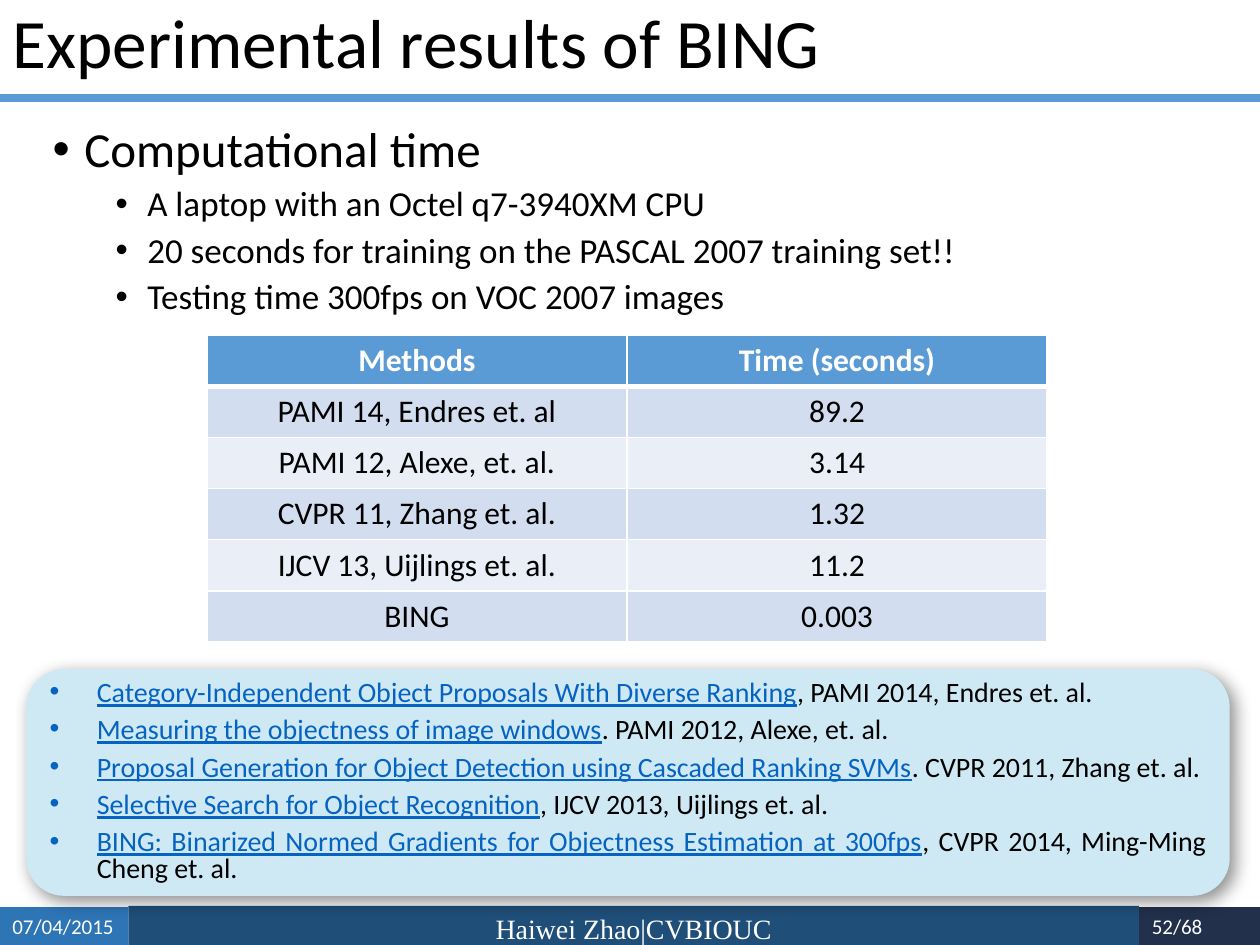
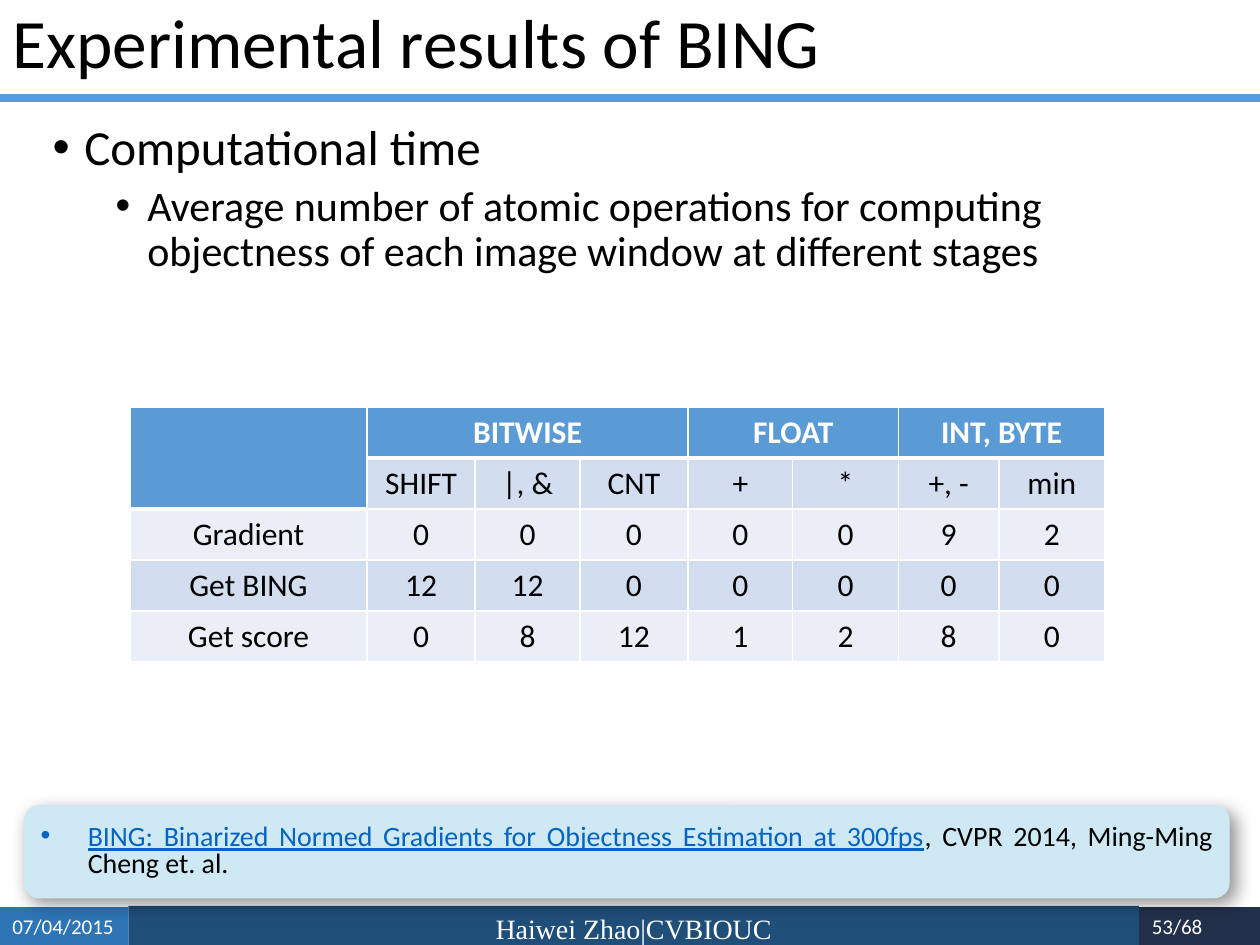
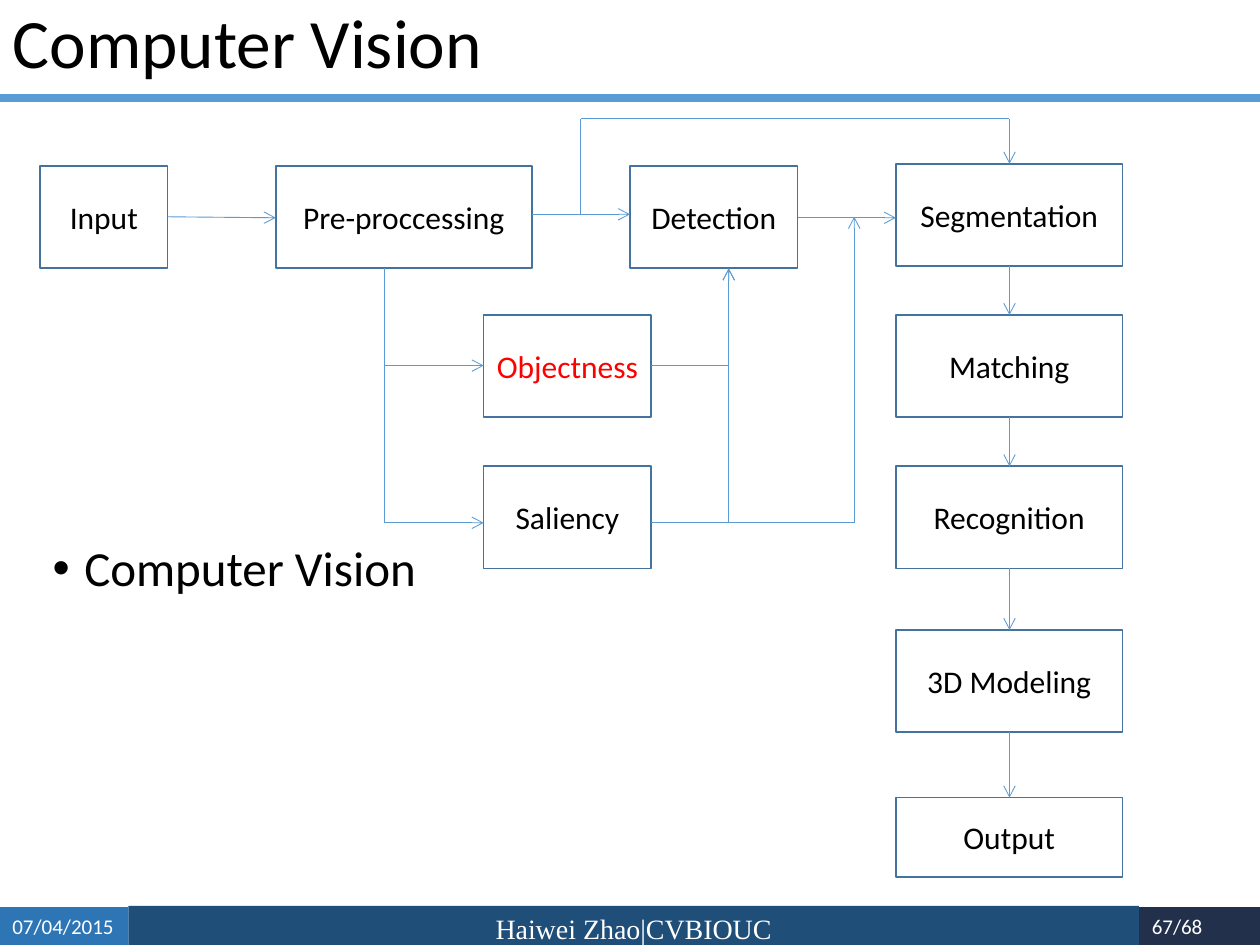
import itertools

import lxml.etree
import pptx
import pptx.dml.color
import pptx.enum.shapes
import pptx.enum.text
import pptx.oxml.ns
import pptx.util

RGBColor = pptx.dml.color.RGBColor
Cm = pptx.util.Cm
Pt = pptx.util.Pt
ALIGN = pptx.enum.text.PP_ALIGN
ANCHOR = pptx.enum.text.MSO_ANCHOR
SHAPE = pptx.enum.shapes.MSO_SHAPE

BLACK = RGBColor(0x00, 0x00, 0x00)
WHITE = RGBColor(0xFF, 0xFF, 0xFF)
RED = RGBColor(0xFF, 0x00, 0x00)
BLUE = RGBColor(0x5B, 0x9B, 0xD5)
BOX_EDGE = RGBColor(0x43, 0x73, 0x9E)
DATE_BLUE = RGBColor(0x2E, 0x75, 0xB6)
AUTHOR_BLUE = RGBColor(0x1F, 0x4E, 0x79)
PAGE_NAVY = RGBColor(0x22, 0x30, 0x4B)
PANEL_BLUE = RGBColor(0xCF, 0xE9, 0xF4)
LINK_BLUE = RGBColor(0x05, 0x63, 0xC1)
BAND_DARK = RGBColor(0xD2, 0xDE, 0xEF)
BAND_LIGHT = RGBColor(0xEA, 0xEF, 0xF7)

TITLE_ONLY = 5
TITLE_FONT = {"name": "Calibri", "size": Pt(39.6)}
FOOTER_FONT = {"name": "Calibri", "size": Pt(12)}
AUTHOR_FONT = {"name": "Times New Roman", "size": Pt(16)}
CELL_FONT = {"name": "Calibri", "size": Pt(18)}
REFERENCE_FONT = {"name": "Calibri", "size": Pt(16)}

TOPIC_FORMAT = {"line_spacing": 0.9, "space_before": Pt(10)}
DETAIL_FORMAT = {"level": 1, "line_spacing": 0.9, "space_before": Pt(5)}
REFERENCE_FORMAT = {
    "alignment": ALIGN.JUSTIFY,
    "line_spacing": 0.8,
    "space_before": Pt(3),
    "space_after": Pt(3),
}
BING_REFERENCE = (
    "BING: Binarized Normed Gradients for Objectness Estimation at 300fps",
    ", CVPR 2014, Ming-Ming Cheng et. al.",
)


def set_attributes(target, values):
    for name, value in values.items():
        setattr(target, name, value)


def add_element(parent, tag, **attributes):
    return lxml.etree.SubElement(parent, pptx.oxml.ns.qn(tag), attributes)


def add_run(paragraph, text, font, color, **extra):
    run = paragraph.add_run()
    run.text = text
    set_attributes(run.font, {**font, **extra})
    run.font.color.rgb = color


def start_paragraph(frame, position, values):
    paragraph = frame.add_paragraph() if position else frame.paragraphs[0]
    set_attributes(paragraph, values)
    if not position:
        paragraph.space_before = None
    return paragraph


def add_bullet(paragraph, margin, hanging):
    properties = paragraph._p.get_or_add_pPr()
    properties.set("marL", str(Cm(margin)))
    properties.set("indent", str(-Cm(hanging)))
    add_element(properties, "a:buFont", typeface="Arial")
    add_element(properties, "a:buChar", char="•")


def add_block(slide, kind, place, fill, edge=None):
    block = slide.shapes.add_shape(kind, *map(Cm, place))
    block.shadow.inherit = False
    block.fill.solid()
    block.fill.fore_color.rgb = fill
    if edge is None:
        block.line.fill.background()
    else:
        block.line.color.rgb = edge
        block.line.width = Pt(1)
    return block


def add_line(slide, start, end, width, arrow=False):
    connector = slide.shapes.add_connector(
        pptx.enum.shapes.MSO_CONNECTOR.STRAIGHT, *map(Cm, start + end)
    )
    connector.line.color.rgb = BLUE
    connector.line.width = Pt(width)
    if arrow:
        add_element(connector.line._get_or_add_ln(), "a:tailEnd", type="arrow")
    add_element(connector._element.spPr, "a:effectLst")


def add_route(slide, points):
    segments = list(itertools.pairwise(points))
    for position, (start, end) in enumerate(segments, 1):
        add_line(slide, start, end, 0.5, arrow=position == len(segments))


def write_footer(shape, text, font, alignment):
    frame = shape.text_frame
    set_attributes(frame, {"word_wrap": True, "vertical_anchor": ANCHOR.TOP})
    paragraph = start_paragraph(frame, 0, {"alignment": alignment})
    add_run(paragraph, text, font, WHITE)


def add_titled_slide(presentation, title_text, page):
    slide = presentation.slides.add_slide(presentation.slide_layouts[TITLE_ONLY])
    add_block(slide, SHAPE.RECTANGLE, (22.96, 18.29, 2.44, 0.76), PAGE_NAVY)
    author = add_block(slide, SHAPE.RECTANGLE, (2.59, 18.26, 20.37, 0.79), AUTHOR_BLUE)
    write_footer(author, "Haiwei Zhao|CVBIOUC", AUTHOR_FONT, ALIGN.CENTER)
    date = add_block(slide, SHAPE.RECTANGLE, (0, 18.29, 2.59, 0.76), DATE_BLUE)
    write_footer(date, "07/04/2015", FOOTER_FONT, ALIGN.LEFT)
    number = slide.shapes.add_textbox(Cm(22.61), Cm(18.29), Cm(1.88), Cm(0.76))
    write_footer(number, f"{page}/68", FOOTER_FONT, ALIGN.RIGHT)
    add_line(slide, (0, 1.98), (25.4, 1.98), 4.5)

    title = slide.shapes.title
    set_attributes(
        title, {"left": Cm(0), "top": Cm(0), "width": Cm(23.27), "height": Cm(1.85)}
    )
    title.fill.solid()
    title.fill.fore_color.rgb = WHITE
    title.text_frame.vertical_anchor = ANCHOR.MIDDLE
    paragraph = start_paragraph(
        title.text_frame, 0, {"alignment": ALIGN.LEFT, "line_spacing": 0.9}
    )
    add_run(paragraph, title_text, TITLE_FONT, BLACK)
    return slide


def add_outline(slide, top, height, topic, details=(), detail_size=20):
    body = slide.shapes.add_textbox(Cm(0.81), Cm(top), Cm(23.65), Cm(height))
    frame = body.text_frame
    frame.word_wrap = True
    paragraph = start_paragraph(frame, 0, TOPIC_FORMAT)
    add_bullet(paragraph, 0.64, 0.64)
    add_run(paragraph, topic, {"name": "Calibri", "size": Pt(28)}, BLACK)
    for position, detail in enumerate(details, 1):
        paragraph = start_paragraph(frame, position, DETAIL_FORMAT)
        add_bullet(paragraph, 1.91, 0.64)
        add_run(paragraph, detail, {"name": "Calibri", "size": Pt(detail_size)}, BLACK)


def add_references(slide, place, references):
    panel = add_block(slide, SHAPE.ROUNDED_RECTANGLE, place, PANEL_BLUE)
    effects = panel._element.spPr.find(pptx.oxml.ns.qn("a:effectLst"))
    shadow = add_element(
        effects,
        "a:outerShdw",
        blurRad=str(Pt(10)),
        dist=str(Pt(4)),
        dir=str(45 * 60000),
        algn="tl",
        rotWithShape="0",
    )
    shadow_color = add_element(shadow, "a:srgbClr", val=str(BLACK))
    add_element(shadow_color, "a:alpha", val="43000")
    frame = panel.text_frame
    set_attributes(frame, {"word_wrap": True, "vertical_anchor": ANCHOR.MIDDLE})
    for position, (paper, source) in enumerate(references):
        paragraph = start_paragraph(frame, position, REFERENCE_FORMAT)
        add_bullet(paragraph, 0.95, 0.95)
        add_run(paragraph, paper, REFERENCE_FONT, LINK_BLUE, underline=True)
        add_run(paragraph, source, REFERENCE_FONT, BLACK)


def add_border(cell, side, width):
    border = add_element(cell._tc.get_or_add_tcPr(), f"a:ln{side}", w=str(Pt(width)))
    add_element(add_element(border, "a:solidFill"), "a:srgbClr", val=str(WHITE))


def format_cell(cell, text, row, is_header):
    add_border(cell, "L", 1)
    add_border(cell, "R", 1)
    if row == 0:
        add_border(cell, "T", 1)
    add_border(cell, "B", 3 if is_header else 1)
    cell.fill.solid()
    band = BAND_DARK if row % 2 else BAND_LIGHT
    cell.fill.fore_color.rgb = BLUE if is_header else band
    if text:
        paragraph = start_paragraph(cell.text_frame, 0, {"alignment": ALIGN.CENTER})
        color = WHITE if is_header else BLACK
        add_run(paragraph, text, CELL_FONT, color, bold=is_header)


def add_grid(slide, left, top, widths, rows, merges=()):
    row_height = 1.03
    table = slide.shapes.add_table(
        len(rows), len(widths), Cm(left), Cm(top),
        Cm(sum(widths)), Cm(row_height * len(rows)),
    ).table
    for column, width in zip(table.columns, widths):
        column.width = Cm(width)
    for row in table.rows:
        row.height = Cm(row_height)
    for first, last in merges:
        table.cell(*first).merge(table.cell(*last))
    for row, texts in enumerate(rows):
        for column, text in enumerate(texts):
            format_cell(table.cell(row, column), text, row, row == 0 or not text)


def add_stage(slide, label, place, color=BLACK):
    stage = add_block(slide, SHAPE.RECTANGLE, place, WHITE, BOX_EDGE)
    frame = stage.text_frame
    set_attributes(
        frame,
        {
            "word_wrap": True,
            "vertical_anchor": ANCHOR.MIDDLE,
            "margin_left": Cm(0.1),
            "margin_right": Cm(0.1),
        },
    )
    paragraph = start_paragraph(frame, 0, {"alignment": ALIGN.CENTER})
    add_run(paragraph, label, CELL_FONT, color)


def build_timing_slide(presentation):
    slide = add_titled_slide(presentation, "Experimental results of BING", 52)
    add_outline(
        slide, 2.39, 4.3, "Computational time",
        [
            "A laptop with an Octel q7-3940XM CPU",
            "20 seconds for training on the PASCAL 2007 training set!!",
            "Testing time 300fps on VOC 2007 images",
        ],
    )
    add_references(
        slide, (0.53, 13.49, 24.26, 4.57),
        [
            ("Category-Independent Object Proposals With Diverse Ranking",
             ", PAMI 2014, Endres et. al."),
            ("Measuring the objectness of image windows",
             ". PAMI 2012, Alexe, et. al."),
            ("Proposal Generation for Object Detection using Cascaded Ranking SVMs",
             ". CVPR 2011, Zhang et. al."),
            ("Selective Search for Object Recognition",
             ", IJCV 2013, Uijlings et. al."),
            BING_REFERENCE,
        ],
    )
    add_grid(
        slide, 4.17, 6.76, [8.47, 8.47],
        [
            ["Methods", "Time (seconds)"],
            ["PAMI 14, Endres et. al", "89.2"],
            ["PAMI 12, Alexe, et. al.", "3.14"],
            ["CVPR 11, Zhang et. al.", "1.32"],
            ["IJCV 13, Uijlings et. al.", "11.2"],
            ["BING", "0.003"],
        ],
    )


def build_operations_slide(presentation):
    slide = add_titled_slide(presentation, "Experimental results of BING", 53)
    add_outline(
        slide, 2.36, 3.5, "Computational time",
        [
            "Average number of atomic operations for computing "
            "objectness of each image window at different stages"
        ],
        detail_size=24,
    )
    add_grid(
        slide, 2.62, 8.2, [4.78, 2.18, 2.11, 2.18, 2.11, 2.13, 2.03, 2.13],
        [
            ["", "BITWISE", "", "", "FLOAT", "", "INT, BYTE", ""],
            ["", "SHIFT", "|, &", "CNT", "+", "*", "+, -", "min"],
            ["Gradient", "0", "0", "0", "0", "0", "9", "2"],
            ["Get BING", "12", "12", "0", "0", "0", "0", "0"],
            ["Get score", "0", "8", "12", "1", "2", "8", "0"],
        ],
        merges=[
            ((0, 0), (1, 0)),
            ((0, 1), (0, 3)),
            ((0, 4), (0, 5)),
            ((0, 6), (0, 7)),
        ],
    )
    add_references(slide, (0.48, 16.23, 24.31, 1.88), [BING_REFERENCE])


def build_pipeline_slide(presentation):
    slide = add_titled_slide(presentation, "Computer Vision", 67)
    add_outline(slide, 10.85, 1.4, "Computer Vision")

    height = 2.06
    for label, left, width in [
        ("Input", 0.81, 2.57),
        ("Pre-proccessing", 5.56, 5.16),
        ("Detection", 12.7, 3.38),
    ]:
        add_stage(slide, label, (left, 3.35, width, height))
    add_stage(slide, "Objectness", (9.75, 6.35, 3.38, height), RED)
    add_stage(slide, "Saliency", (9.75, 9.4, 3.38, height))

    final_stages = [
        ("Segmentation", 3.3, height),
        ("Matching", 6.35, height),
        ("Recognition", 9.4, height),
        ("3D Modeling", 12.7, height),
        ("Output", 16.08, 1.6),
    ]
    center = 20.35
    for label, top, stage_height in final_stages:
        add_stage(slide, label, (18.06, top, 4.57, stage_height))
    for (_, top, stage_height), (_, next_top, _) in itertools.pairwise(final_stages):
        add_route(slide, [(center, top + stage_height), (center, next_top)])

    split, join, bypass = 7.75, 14.69, 17.22
    objectness_level, saliency_level = 7.37, 10.54
    for points in [
        [(3.38, 4.37), (5.56, 4.39)],
        [(10.72, 4.32), (12.7, 4.32)],
        [(16.08, 4.39), (18.06, 4.39)],
        [(split, 5.41), (split, objectness_level), (9.75, objectness_level)],
        [(split, objectness_level), (split, saliency_level), (9.75, saliency_level)],
        [(13.13, objectness_level), (join, objectness_level), (join, 5.41)],
        [(join, saliency_level), (join, 5.41)],
        [(13.13, saliency_level), (bypass, saliency_level), (bypass, 4.37)],
        [(11.71, 4.32), (11.71, 2.39), (center, 2.39), (center, 3.3)],
    ]:
        add_route(slide, points)


def main():
    presentation = pptx.Presentation()
    presentation.slide_width = Cm(25.4)
    presentation.slide_height = Cm(19.05)
    build_timing_slide(presentation)
    build_operations_slide(presentation)
    build_pipeline_slide(presentation)
    presentation.save("out.pptx")


if __name__ == "__main__":
    main()
